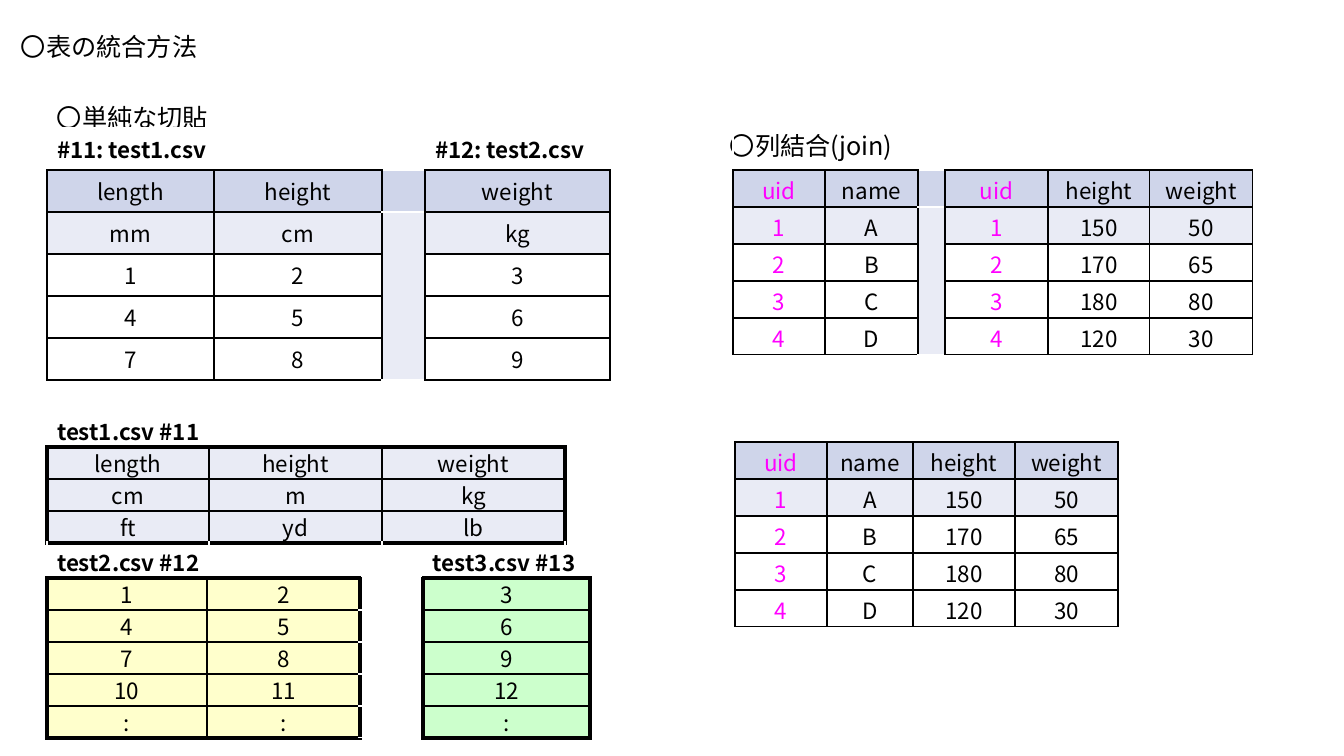
from lxml import etree
from pptx import Presentation
from pptx import util as u
from pptx.dml.color import RGBColor
from pptx.enum import text
from pptx.oxml.ns import qn

FONT = "Noto Sans CJK JP"
BLACK, WHITE, PINK = "000000", "FFFFFF", "FF00FF"
HEAD, BAND, YELLOW, GREEN = "CFD5EA", "E9EBF5", "FFFFCC", "CCFFCC"

# Content: headings as (left, top, words)
HEADINGS = [
    (47, 82, "〇単純な切貼"),
    (720, 110, "〇列結合(join)"),
    (11, 11, "〇表の統合方法"),
]

# Content: tables; the first row holds labels, an empty word is an empty cell.
# A fill is given per row, or per column within the row.
TABLES = [
    dict(left=47, top=128, columns=[167, 168, 43, 185], row=42, margins=(5, 5), frame=1,
         fills=[None, HEAD, BAND, None, None, None],
         rows=[["#11: test1.csv", "", "", "#12: test2.csv"],
               ["length", "height", "", "weight"],
               ["mm", "cm", "", "kg"],
               ["1", "2", "", "3"],
               ["4", "5", "", "6"],
               ["7", "8", "", "9"]]),
    dict(left=47, top=415, columns=[162, 173, 183], row=32, margins=(0, 0), frame=3,
         fills=[None, BAND, BAND, BAND, None],
         rows=[["test1.csv #11", "", ""],
               ["length", "height", "weight"],
               ["cm", "m", "kg"],
               ["ft", "yd", "lb"],
               ["", "", ""]]),
    dict(left=47, top=546, columns=[160, 153, 63, 167], row=32, margins=(0, 0), frame=3,
         fills=[WHITE] + [[YELLOW, YELLOW, WHITE, GREEN]] * 5,
         rows=[["test2.csv #12", "", "", "test3.csv #13"],
               ["1", "2", "", "3"],
               ["4", "5", "", "6"],
               ["7", "8", "", "9"],
               ["10", "11", "", "12"],
               [":", ":", "", ":"]]),
    dict(left=733, top=133, columns=[92, 93, 27, 103, 102, 103], row=37, margins=(4, 0), frame=1,
         fills=[None, HEAD, BAND, None, None, None],
         rows=[["", "", "", "", "", ""],
               ["uid", "name", "", "uid", "height", "weight"],
               ["1", "A", "", "1", "150", "50"],
               ["2", "B", "", "2", "170", "65"],
               ["3", "C", "", "3", "180", "80"],
               ["4", "D", "", "4", "120", "30"]]),
    dict(left=735, top=405, columns=[92, 86, 102, 103], row=37, margins=(4, 0), frame=1,
         fills=[None, HEAD, BAND, None, None, None],
         rows=[["", "", "", ""],
               ["uid", "name", "height", "weight"],
               ["1", "A", "150", "50"],
               ["2", "B", "170", "65"],
               ["3", "C", "180", "80"],
               ["4", "D", "120", "30"]]),
]


def px(n):
    return int(n * u.Inches(1) / 100.8)


def colour(value):
    return RGBColor.from_string(value)


def write(paragraph, words, size, ink=BLACK, bold=False):
    run = paragraph.add_run()
    run.text = words
    font = run.font
    font.name, font.size, font.bold = FONT, u.Pt(size), bold
    font.color.rgb = colour(ink)
    etree.SubElement(font._element, qn("a:ea")).set("typeface", FONT)


def draw_border(cell, side, ink, points):
    line = etree.SubElement(cell._tc.get_or_add_tcPr(), qn("a:ln" + side))
    line.set("w", str(u.Pt(points)))
    fill = etree.SubElement(line, qn("a:solidFill"))
    etree.SubElement(fill, qn("a:srgbClr")).set("val", ink)


def draw_heading(slide, left, top, words):
    box = slide.shapes.add_textbox(px(left), px(top), px(226), px(51))
    box.text_frame.word_wrap = True
    box.text_frame.auto_size = text.MSO_AUTO_SIZE.SHAPE_TO_FIT_TEXT
    paragraph = box.text_frame.paragraphs[0]
    paragraph.line_spacing = 1.5
    write(paragraph, words, 18)


def draw_table(slide, left, top, columns, row, margins, frame, fills, rows):
    table = slide.shapes.add_table(len(rows), len(columns), px(left), px(top),
                                   px(sum(columns)), px(row * len(rows))).table
    table.first_row = table.horz_banding = False
    for column, width in zip(table.columns, columns):
        column.width = px(width)
    for line in table.rows:
        line.height = px(row)

    def in_body(r, c):
        return 0 < r < len(rows) and 0 <= c < len(columns) and rows[r][c] != ""

    for r, line in enumerate(rows):
        for c, words in enumerate(line):
            cell = table.cell(r, c)
            cell.margin_top, cell.margin_bottom = map(px, margins)

            # Borders: thin inside a block, frame weight around it, white elsewhere
            for side, dr, dc in (("L", 0, -1), ("R", 0, 1), ("T", -1, 0), ("B", 1, 0)):
                touching = in_body(r, c) + in_body(r + dr, c + dc)
                draw_border(cell, side, BLACK if touching else WHITE,
                            frame if touching == 1 else 1)

            fill = fills[r][c] if isinstance(fills[r], list) else fills[r]
            if fill:
                cell.fill.solid()
                cell.fill.fore_color.rgb = colour(fill)
            else:
                cell.fill.background()

            paragraph = cell.text_frame.paragraphs[0]
            if not words:
                etree.SubElement(paragraph._p, qn("a:endParaRPr")).set("sz", "1200")
                continue
            if r:
                paragraph.alignment = text.PP_ALIGN.CENTER
            write(paragraph, words, 16, PINK if r and rows[1][c] == "uid" else BLACK, r == 0)

    # Joined cells: the first label, and the gap between thin-framed blocks
    table.cell(0, 0).merge(table.cell(0, 1))
    if frame == 1 and "" in rows[1]:
        gap = rows[1].index("")
        table.cell(2, gap).merge(table.cell(len(rows) - 1, gap))


def main():
    deck = Presentation()
    deck.slide_width, deck.slide_height = px(1344), px(756)
    slide = deck.slides.add_slide(deck.slide_layouts[6])
    for heading in HEADINGS:
        draw_heading(slide, *heading)
    for table in TABLES:
        draw_table(slide, **table)
    deck.save("out.pptx")


if __name__ == "__main__":
    main()
